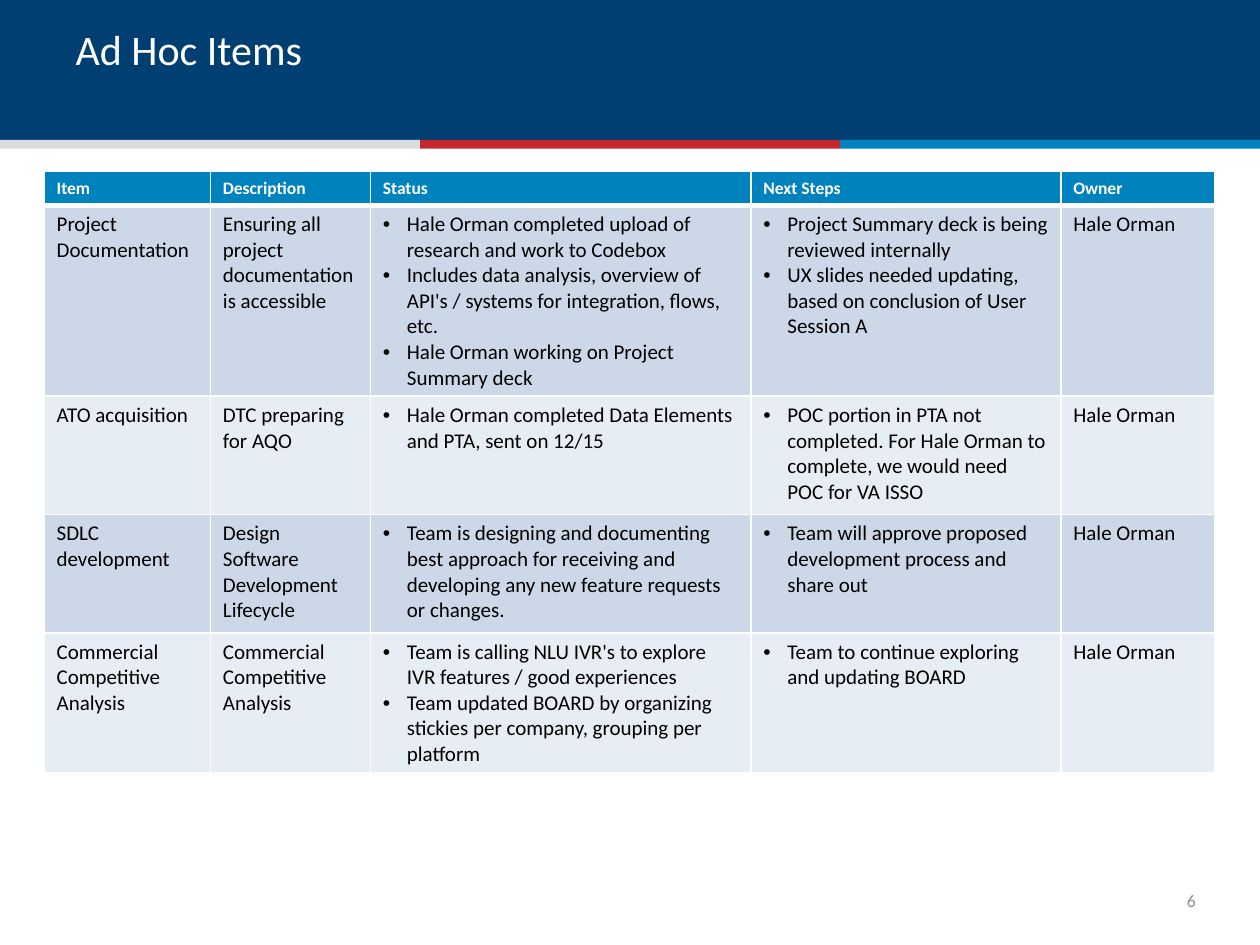
from dataclasses import dataclass
from lxml import etree
from pptx import Presentation
from pptx.dml.color import RGBColor
from pptx.enum.shapes import MSO_SHAPE
from pptx.enum.text import MSO_ANCHOR, MSO_AUTO_SIZE, PP_ALIGN
from pptx.oxml.ns import qn
from pptx.util import Inches, Pt

RECT = MSO_SHAPE.RECTANGLE
TOP, MID = MSO_ANCHOR.TOP, MSO_ANCHOR.MIDDLE
LEFT, RIGHT = PP_ALIGN.LEFT, PP_ALIGN.RIGHT
FIXED = MSO_AUTO_SIZE.NONE
WIDE, HIGH = Inches(10), Inches(7.5)
INDENT = Inches(0.19)


@dataclass(frozen=True)
class Theme:
    font: str = "Calibri"
    navy: str = "003F72"
    gray: str = "DBDCDE"
    red: str = "C6262D"
    blue: str = "0082BD"
    white: str = "FFFFFF"
    black: str = "000000"
    dim: str = "8C8C8C"
    rows: tuple = ("CCD8E8", "E7EDF4")
    title: int = 24
    body: int = 12
    small: int = 10


@dataclass(frozen=True)
class Box:
    """Left, top, width and height in percent of the slide."""
    x: float
    y: float
    w: float
    h: float

    def place(self) -> tuple:
        return across(self.x), down(self.y), across(self.w), down(self.h)


@dataclass(frozen=True)
class Item:
    name: str
    about: tuple
    status: tuple
    steps: tuple
    high: float
    owner: str = "Hale Orman"


THEME = Theme()
HEADS = ("Item", "Description", "Status", "Next Steps", "Owner")
COLS = (13.2, 12.7, 30.2, 24.6, 12.2)
HEAD_HIGH = 3.6
ITEMS = (
    Item("Project Documentation",
         ("Ensuring all project documentation is accessible",),
         ("Hale Orman completed upload of research and work to Codebox",
          "Includes data analysis, overview of API's / systems for integration, flows, etc.",
          "Hale Orman working on Project Summary deck"),
         ("Project Summary deck is being reviewed internally",
          "UX slides needed updating, based on conclusion of User Session A"), 20.2),
    Item("ATO acquisition",
         ("DTC preparing for AQO",),
         ("Hale Orman completed Data Elements and PTA, sent on 12/15",),
         ("POC portion in PTA not completed. For Hale Orman to complete, "
          "we would need POC for VA ISSO",), 12.53),
    Item("SDLC development",
         ("Design Software Development Lifecycle",),
         ("Team is designing and documenting best approach for receiving and "
          "developing any new feature requests or changes.",),
         ("Team will approve proposed development process and share out",), 12.53),
    Item("Commercial Competitive Analysis",
         ("Commercial", "Competitive", "Analysis"),
         ("Team is calling NLU IVR's to explore IVR features / good experiences",
          "Team updated BOARD by organizing stickies per company, grouping per platform"),
         ("Team to continue exploring and updating BOARD",), 14.8),
)


def across(share: float) -> int:
    return round(WIDE * share / 100)


def down(share: float) -> int:
    return round(HIGH * share / 100)


def write(frame, lines: tuple, *, size: int, color: str, bold: bool = False,
          align=LEFT, bullet: bool = False) -> None:
    frame.word_wrap = True
    for i, line in enumerate(lines):
        para = frame.paragraphs[0] if i == 0 else frame.add_paragraph()
        para.alignment = align
        if bullet:
            props = para._p.get_or_add_pPr()
            props.set("marL", str(INDENT))
            props.set("indent", str(-INDENT))
            etree.SubElement(props, qn("a:buFont"), typeface="Arial")
            etree.SubElement(props, qn("a:buChar"), char="•")
        run = para.add_run()
        run.text = line
        font = run.font
        font.name, font.size, font.bold = THEME.font, Pt(size), bold
        font.color.rgb = RGBColor.from_string(color)


def band(slide, box: Box, color: str) -> None:
    shape = slide.shapes.add_shape(RECT, *box.place())
    shape.shadow.inherit = False
    shape.fill.solid()
    shape.fill.fore_color.rgb = RGBColor.from_string(color)
    shape.line.fill.background()


def paint(cell, color: str, base: int = 1) -> None:
    props = cell._tc.get_or_add_tcPr()
    for side, width in (("L", 1), ("R", 1), ("T", 1), ("B", base)):
        line = etree.SubElement(props, qn(f"a:ln{side}"), w=str(Pt(width)))
        fill = etree.SubElement(line, qn("a:solidFill"))
        etree.SubElement(fill, qn("a:srgbClr"), val=THEME.white)
    cell.fill.solid()
    cell.fill.fore_color.rgb = RGBColor.from_string(color)


def header(slide) -> None:
    band(slide, Box(0, 0, 100, 15.2), THEME.navy)
    third = 100 / 3
    for i, color in enumerate((THEME.gray, THEME.red, THEME.blue)):
        band(slide, Box(i * third, 14.8, third, 0.93), color)
    title = slide.shapes.title
    title.left, title.top, title.width, title.height = Box(5, 1.87, 90, 11.87).place()
    frame = title.text_frame
    frame.auto_size, frame.vertical_anchor = FIXED, TOP
    write(frame, ("Ad Hoc Items",), size=THEME.title, color=THEME.white)
    slide.shapes._spTree.append(title._element)


def grid(slide) -> None:
    highs = (HEAD_HIGH, *(item.high for item in ITEMS))
    box = Box(3.5, 18.13, sum(COLS), sum(highs))
    table = slide.shapes.add_table(len(highs), len(COLS), *box.place()).table
    for col, wide in zip(table.columns, COLS):
        col.width = across(wide)
    for row, high in zip(table.rows, highs):
        row.height = down(high)
    for c, head in enumerate(HEADS):
        cell = table.cell(0, c)
        paint(cell, THEME.blue, 3)
        write(cell.text_frame, (head,), size=THEME.small, color=THEME.white, bold=True)
    for r, item in enumerate(ITEMS):
        texts = ((item.name,), item.about, item.status, item.steps, (item.owner,))
        for c, lines in enumerate(texts):
            cell = table.cell(r + 1, c)
            paint(cell, THEME.rows[r % 2])
            write(cell.text_frame, lines, size=THEME.body, color=THEME.black,
                  bullet=HEADS[c] in ("Status", "Next Steps"))


def number(slide) -> None:
    frame = slide.shapes.add_textbox(*Box(92.2, 92.67, 2.7, 5.33).place()).text_frame
    frame.margin_left = frame.margin_right = frame.margin_top = frame.margin_bottom = 0
    frame.vertical_anchor = MID
    write(frame, ("6",), size=THEME.small, color=THEME.dim, align=RIGHT)


def main() -> None:
    deck = Presentation()
    deck.slide_width, deck.slide_height = WIDE, HIGH
    slide = deck.slides.add_slide(deck.slide_layouts[5])
    header(slide)
    number(slide)
    grid(slide)
    deck.save("out.pptx")


if __name__ == "__main__":
    main()
